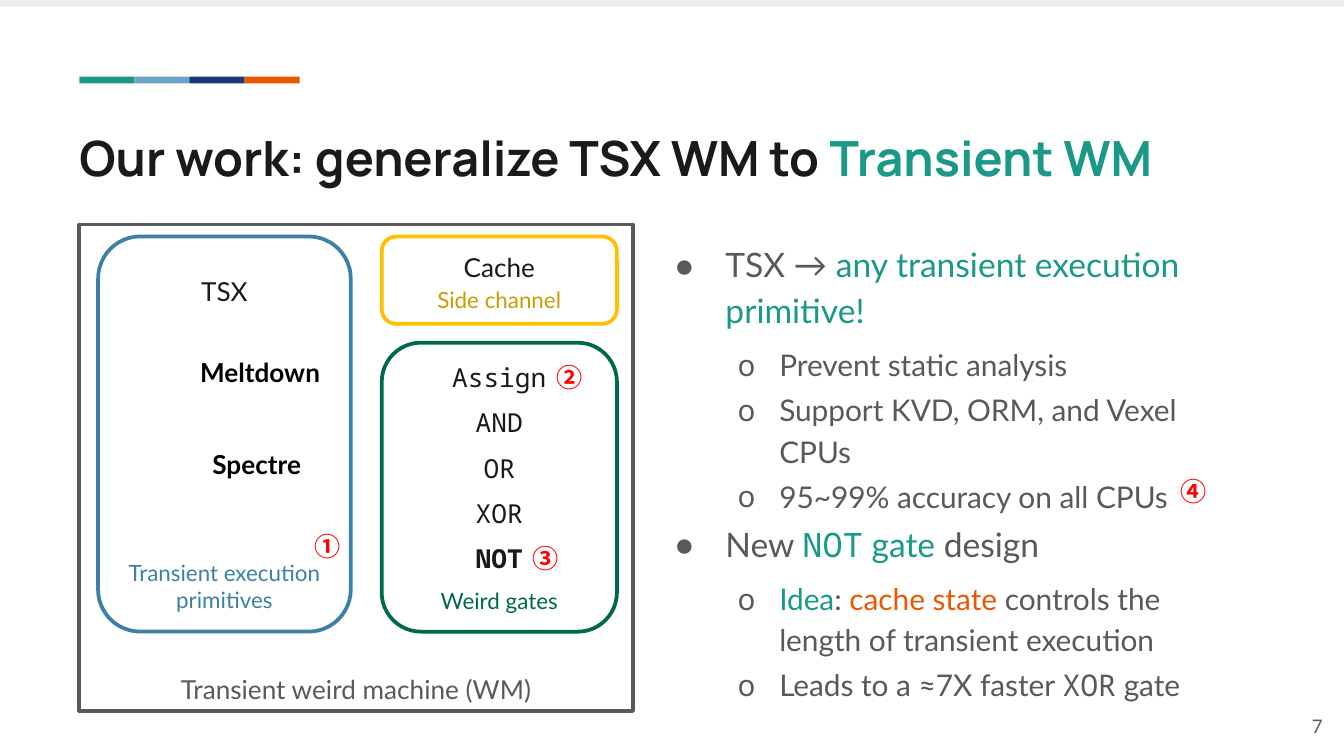
"""Build the slide that generalizes the TSX weird machine to transient execution."""
from typing import NamedTuple, Optional

from lxml.etree import SubElement
from pptx import Presentation
from pptx.dml.color import RGBColor
from pptx.enum.shapes import MSO_SHAPE as Preset
from pptx.enum.text import MSO_ANCHOR as Anchor, PP_ALIGN as Align
from pptx.oxml.ns import qn
from pptx.util import Inches, Pt

COLORS = {
    "white": "FFFFFF", "black": "000000", "ink": "1A1A1A", "gray": "595959",
    "pale": "E9EDEE", "teal": "1A9988", "sky": "6AA4C8", "navy": "1C3678",
    "orange": "EB5600", "blue": "3E7FA8", "gold": "FFC000",
    "dark gold": "CC9B00", "green": "00684E", "red": "FF0000",
}
SANS, HEADING, MONO, CJK = "Lato", "Manrope", "Noto Sans Mono", "Noto Sans CJK JP"


class Box(NamedTuple):
    left: float
    top: float
    width: float
    height: float


class Panel(NamedTuple):
    box: Box
    preset: Preset
    line: str
    caption: str
    color: str
    size: int = 12
    fill: Optional[str] = None


class Label(NamedTuple):
    text: str
    box: Box
    color: str = "ink"
    font: str = SANS
    bold: bool = False
    wrap: bool = True


class Span(NamedTuple):
    text: str
    color: str = "gray"
    font: str = SANS


class Level(NamedTuple):
    bullet: str
    margin: float
    indent: float
    size: int
    space_after: int


LEVELS = [Level("●", 0.5, -0.38, 18, 6), Level("o", 0.9, -0.31, 16, 2)]
GATES_LEFT, GATES_WIDTH, GATES_TOP, GATES_BOTTOM = 2.84, 1.75, 2.64, 3.99
ROW = 0.34

BAR_COLORS = ["teal", "sky", "navy", "orange"]
PANELS = [
    Panel(Box(0.59, 1.67, 4.12, 3.62), Preset.RECTANGLE, "gray",
          "Transient weird machine (WM)", "gray", 14, "white"),
    Panel(Box(0.73, 1.76, 1.88, 2.94), Preset.ROUNDED_RECTANGLE, "blue",
          "Transient execution primitives", "blue"),
    Panel(Box(GATES_LEFT, 1.76, GATES_WIDTH, 0.65), Preset.ROUNDED_RECTANGLE, "gold",
          "Side channel", "dark gold"),
    Panel(Box(GATES_LEFT, 2.55, GATES_WIDTH, 2.15), Preset.ROUNDED_RECTANGLE, "green",
          "Weird gates", "green"),
]
LABELS = [
    Label("TSX", Box(1.03, 2, 1.28, ROW)),
    Label("Meltdown", Box(1.38, 2.6, 1.11, ROW), "black", bold=True, wrap=False),
    Label("Spectre", Box(1.47, 3.29, 0.88, ROW), "black", bold=True, wrap=False),
    Label("Cache", Box(GATES_LEFT, 1.82, GATES_WIDTH, ROW)),
]
GATES = ["Assign", "AND", "OR", "XOR", "NOT"]
BADGES = [("①", 2.21, 3.9), ("②", 4.01, 2.64), ("③", 3.83, 3.99), ("④", 8.65, 3.49)]
POINTS = [
    (0, [Span("TSX → "), Span("any transient execution primitive!", "teal")]),
    (1, [Span("Prevent static analysis")]),
    (1, [Span("Support KVD, ORM, and Vexel CPUs")]),
    (1, [Span("95~99% accuracy on all CPUs")]),
    (0, [Span("New "), Span("NOT", "teal", MONO), Span(" gate", "teal"), Span(" design")]),
    (1, [Span("Idea", "teal"), Span(": "), Span("cache state", "orange"),
         Span(" controls the length of transient execution")]),
    (1, [Span("Leads to a ≈7X faster "), Span("XOR", font=MONO), Span(" gate")]),
]


def rgb(name: str) -> RGBColor:
    """Return the named colour."""
    return RGBColor.from_string(COLORS[name])


def set_font(font, size: int, color: str, name: str = SANS, bold: bool = False) -> None:
    """Style a paragraph font."""
    font.size, font.name, font.bold = Pt(size), name, bold
    font.color.rgb = rgb(color)


def add_block(slide, box: Box, preset: Preset, fill: Optional[str], line: Optional[str] = None):
    """Add a flat preset shape and return it."""
    shape = slide.shapes.add_shape(preset, *map(Inches, box))
    shape.shadow.inherit = False
    if fill:
        shape.fill.solid()
        shape.fill.fore_color.rgb = rgb(fill)
    else:
        shape.fill.background()
    if line:
        shape.line.color.rgb = rgb(line)
        shape.line.width = Pt(2)
    else:
        shape.line.fill.background()
    return shape


def add_panel(slide, panel: Panel) -> None:
    """Add an outlined panel with its caption at the bottom."""
    frame = add_block(slide, panel.box, panel.preset, panel.fill, panel.line).text_frame
    frame.word_wrap, frame.vertical_anchor = True, Anchor.BOTTOM
    paragraph = frame.paragraphs[0]
    paragraph.text, paragraph.alignment = panel.caption, Align.CENTER
    set_font(paragraph.font, panel.size, panel.color)


def add_text_frame(slide, box: Box, wrap: bool = True, padded: bool = True):
    """Add a text box and return its frame."""
    frame = slide.shapes.add_textbox(*map(Inches, box)).text_frame
    frame.word_wrap = wrap
    if padded:
        frame.margin_left = frame.margin_right = Inches(0.1)
        frame.margin_top = frame.margin_bottom = Inches(0.1)
    return frame


def add_label(slide, label: Label) -> None:
    """Add a centred one-line label."""
    paragraph = add_text_frame(slide, label.box, label.wrap, padded=False).paragraphs[0]
    paragraph.text, paragraph.alignment = label.text, Align.CENTER
    set_font(paragraph.font, 14, label.color, label.font, label.bold)
    if label.font == CJK:
        properties = paragraph.runs[0].font._element
        SubElement(properties, qn("a:ea"), typeface=CJK)


def add_spans(paragraph, spans: list[Span]) -> None:
    """Add runs that differ in colour or font."""
    for span in spans:
        run = paragraph.add_run()
        run.text = span.text
        run.font.name = span.font
        run.font.color.rgb = rgb(span.color)


def add_title(slide) -> None:
    """Add the two-coloured title."""
    frame = add_text_frame(slide, Box(0.59, 0.85, 8.75, 0.59))
    frame.margin_left = 0
    paragraph = frame.paragraphs[0]
    add_spans(paragraph, [Span("Our work: generalize TSX WM to ", "ink", HEADING),
                          Span("Transient WM", "teal", HEADING)])
    paragraph.font.size, paragraph.font.bold = Pt(26), True


def add_points(slide) -> None:
    """Add the two-level bullet list."""
    frame = add_text_frame(slide, Box(4.8, 1.67, 4.53, 3.62))
    for index, (depth, spans) in enumerate(POINTS):
        paragraph = frame.add_paragraph() if index else frame.paragraphs[0]
        level = LEVELS[depth]
        paragraph.level = depth
        paragraph.line_spacing, paragraph.space_after = 1.15, Pt(level.space_after)
        properties = paragraph._p.get_or_add_pPr()
        properties.set("marL", str(Inches(level.margin)))
        properties.set("indent", str(Inches(level.indent)))
        bullet_color = SubElement(properties, qn("a:buClr"))
        SubElement(bullet_color, qn("a:srgbClr"), val=COLORS["gray"])
        SubElement(properties, qn("a:buFont"), typeface=MONO)
        SubElement(properties, qn("a:buChar"), char=level.bullet)
        paragraph.font.size = Pt(level.size)
        add_spans(paragraph, spans)


def add_page_number(slide) -> None:
    """Add the page number."""
    frame = add_text_frame(slide, Box(9.34, 5.19, 0.6, 0.43))
    frame.vertical_anchor = Anchor.MIDDLE
    paragraph = frame.paragraphs[0]
    paragraph.text, paragraph.alignment = "7", Align.RIGHT
    set_font(paragraph.font, 10, "gray")


def main() -> None:
    """Build and save the presentation."""
    presentation = Presentation()
    presentation.slide_width, presentation.slide_height = Inches(10), Inches(10 * 9 / 16)
    slide = presentation.slides.add_slide(presentation.slide_layouts[6])
    for index, color in enumerate(BAR_COLORS):
        add_block(slide, Box(0.59 + 0.41 * index, 0.57, 0.41, 0.05), Preset.RECTANGLE, color)
    add_block(slide, Box(0, 0, 10, 0.05), Preset.RECTANGLE, "pale")
    add_title(slide)
    for panel in PANELS:
        add_panel(slide, panel)
    add_points(slide)
    for label in LABELS:
        add_label(slide, label)
    gate_step = (GATES_BOTTOM - GATES_TOP) / (len(GATES) - 1)
    for index, gate in enumerate(GATES):
        box = Box(GATES_LEFT, GATES_TOP + gate_step * index, GATES_WIDTH, ROW)
        add_label(slide, Label(gate, box, font=MONO, bold=gate == "NOT"))
    for digit, left, top in BADGES:
        add_label(slide, Label(digit, Box(left, top, 0.46, ROW), "red", CJK, True))
    add_page_number(slide)
    presentation.save("out.pptx")


if __name__ == "__main__":
    main()
